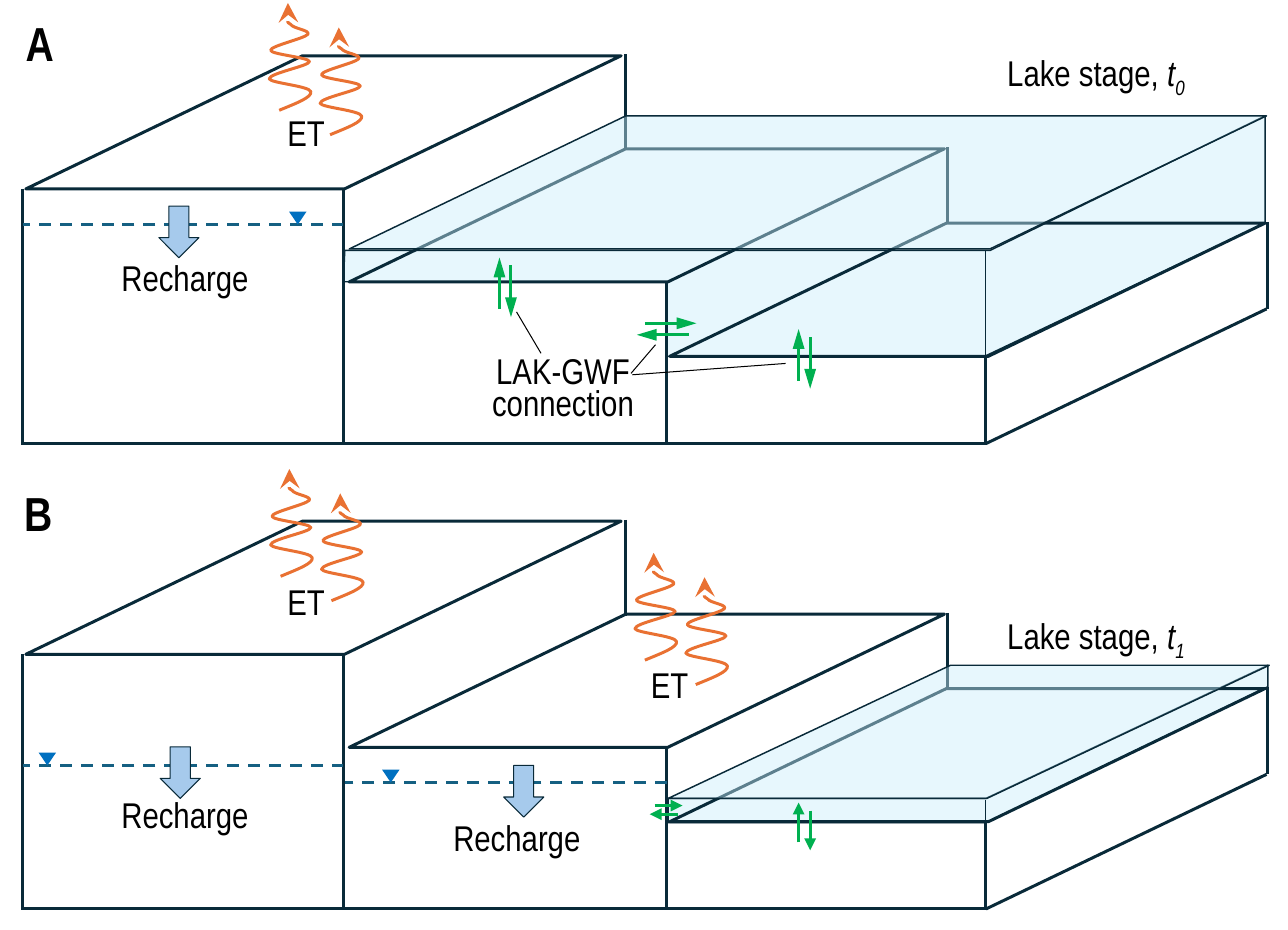
from dataclasses import dataclass
from typing import Optional

from lxml.etree import SubElement
from pptx import Presentation
from pptx.dml.color import RGBColor
from pptx.enum.dml import MSO_LINE
from pptx.enum.shapes import MSO_CONNECTOR, MSO_SHAPE
from pptx.enum.text import MSO_AUTO_SIZE, PP_ALIGN
from pptx.oxml.ns import qn
from pptx.util import Pt

Point = tuple[float, float]


@dataclass(frozen=True)
class Theme:
    font: str = "Arial Narrow"
    label: float = 18
    panel: float = 24
    text: str = "000000"
    edge: str = "092A39"
    water: str = "CAEEFB"
    water_opacity: int = 44
    vapor: str = "E97132"
    table: str = "156082"
    marker: str = "0070C0"
    recharge: str = "A6CAEC"
    exchange: str = "00B050"
    thin: float = 0.5
    medium: float = 0.75
    thick: float = 1.5


@dataclass(frozen=True)
class Label:
    x: float
    y: float
    width: float
    height: float
    text: str
    subscript: str = ""
    spacing: Optional[float] = None
    size: float = Theme.label
    bold: bool = False
    centered: bool = False


@dataclass(frozen=True)
class Exchange:
    """Two opposed arrows; x, y is the top left corner of the pair."""
    x: float
    y: float
    vertical: bool = True
    length: float = 26
    lag: float = 4
    gap: float = 5.8
    head: str = "lg"


@dataclass(frozen=True)
class WaterTable:
    left: float
    right: float
    y: float
    marker_x: float


THEME = Theme()
PANEL_STEP = 234.2
TOP_WIDTH, TOP_HEIGHT, TOP_SLANT = 299.5, 67, 2.077

# Three stepped cells, relative to the panel
CELL_TOPS = [(13, 28.1), (175.7, 74.9), (337, 112.3)]
CELL_EDGES = [
    ((11.5, 95), (11.5, 223.9)), ((172.8, 95), (172.8, 223.9)),
    ((335.5, 141.8), (335.5, 223.2)), ((495.7, 180), (495.7, 223.9)),
    ((314.6, 27.4), (314.6, 75.6)), ((476.6, 74.2), (476.6, 112.3)),
    ((637.9, 111.6), (637.9, 155.5)),
    ((495.7, 223.2), (11.5, 223.2)), ((496.1, 223.2), (637.2, 155.5)),
]

# Lake fronts and surfaces
LAKE_FRONTS = [
    [(336.2, 401.8), (336.2, 414), (496.1, 414), (637.9, 345.6), (637.9, 334.8), (496.1, 401.8)],
    [(173.5, 126), (172.8, 141.8), (335.5, 141.8), (335.5, 179.3), (495.4, 179.3),
     (636.5, 112.3), (636.5, 58.3), (498.2, 126)],
]
LAKE_SURFACES = [(175.7, 58.3, 461.5, 2.077), (336.2, 334.8, 302.4, 2.12)]
LAKE_CORNERS = [((495.9, 126), (495.9, 180)), ((495.7, 402.5), (495.7, 414.5))]

# Start point, then three points for each Bezier piece
VAPOR_CURVE = [
    (5, 54), (13.7, 50.4), (21.6, 47.5), (20.9, 44.6), (20.2, 41.8), (0.7, 40.3), (0, 38.2),
    (0, 35.3), (20.2, 31.7), (20.2, 29.5), (20.2, 27.4), (0.7, 25.9), (0.7, 23.8),
    (0.7, 21.6), (17.3, 18), (19.4, 15.8), (20.9, 13.7), (12.2, 13), (10.8, 10.8),
    (8.6, 9.4), (9.4, 7.9), (9.4, 5.8), (8.6, 3.6), (8.6, 2.2), (9.4, 0),
]
VAPOR_PAIRS = [(135.5, 1.5), (136.2, 236), (319.5, 278.2)]
VAPOR_STEP = (25.6, 12.3)

WATER_TABLES = [
    WaterTable(11.5, 172.8, 113, 145.4),
    WaterTable(11.5, 172.8, 385.2, 19.4),
    WaterTable(173.5, 335.5, 393.8, 192.2),
]
RECHARGE_ARROWS = [(79.9, 103.7), (80.6, 375.8), (253.4, 385.2)]
EXCHANGES = [
    Exchange(251.3, 129.6),
    Exchange(320.4, 162.7, vertical=False),
    Exchange(401.8, 165.6),
    Exchange(401.8, 403.9, length=20, head="med"),
    Exchange(326.9, 405.4, vertical=False, length=14, lag=2.5, gap=4.3, head="med"),
]
LEADERS = [((259.9, 157), (272.2, 177.8)), ((329.8, 173.5), (317.5, 187.9)),
           ((395.3, 182.9), (318.2, 188.6))]
LABELS = [
    Label(5.8, 3.6, 27.4, 36, "A", size=THEME.panel, bold=True),
    Label(5, 239.8, 27.4, 36, "B", size=THEME.panel, bold=True),
    Label(137.5, 59.8, 42.5, 23, "ET", spacing=14),
    Label(137.5, 288, 42.5, 29, "ET"),
    Label(320.4, 329.8, 42.5, 29, "ET"),
    Label(54, 125.3, 93.6, 29, "Recharge"),
    Label(54, 395.3, 93.6, 29, "Recharge"),
    Label(221, 406.8, 93.6, 29, "Recharge"),
    Label(499.7, 32.4, 126.7, 23, "Lake stage, ", "0", spacing=14),
    Label(499.7, 305.3, 126.7, 29, "Lake stage, ", "1"),
    Label(237.6, 177.8, 91.4, 40.3, "LAK-GWF connection", spacing=16, centered=True),
]


def style(shape, fill: Optional[str], line: Optional[str], width: float = 0) -> None:
    shape.shadow.inherit = False
    if fill:
        shape.fill.solid()
        shape.fill.fore_color.rgb = RGBColor.from_string(fill)
    else:
        shape.fill.background()
    if line:
        shape.line.color.rgb = RGBColor.from_string(line)
        shape.line.width = Pt(width)
    else:
        shape.line.fill.background()


def style_water(shape) -> None:
    style(shape, THEME.water, THEME.edge, THEME.medium)
    color = shape.element.spPr.find(qn("a:solidFill"))[0]
    SubElement(color, qn("a:alpha"), val=str(THEME.water_opacity * 1000))


def add_tip(shape, kind: str, width: str, length: str) -> None:
    SubElement(shape.element.spPr.find(qn("a:ln")), qn("a:tailEnd"), type=kind, w=width, len=length)


def draw_line(shapes, start: Point, end: Point, color: str, width: float):
    line = shapes.add_connector(MSO_CONNECTOR.STRAIGHT, *(Pt(v) for v in (*start, *end)))
    line.line.color.rgb = RGBColor.from_string(color)
    line.line.width = Pt(width)
    SubElement(line.element.spPr, qn("a:effectLst"))
    return line


def draw_preset(shapes, kind, x: float, y: float, width: float, height: float):
    return shapes.add_shape(kind, Pt(x), Pt(y), Pt(width), Pt(height))


def draw_outline(shapes, points: list[Point], close: bool):
    start, *others = [(Pt(x), Pt(y)) for x, y in points]
    builder = shapes.build_freeform(*start)
    builder.add_line_segments(others, close=close)
    return builder.convert_to_shape()


def draw_top(shapes, x: float, y: float, width: float, slant: float):
    top = draw_preset(shapes, MSO_SHAPE.PARALLELOGRAM, x, y, width, TOP_HEIGHT)
    top.adjustments[0] = slant
    return top


def draw_cells(shapes, dy: float) -> None:
    for x, y in CELL_TOPS:
        style(draw_top(shapes, x, y + dy, TOP_WIDTH, TOP_SLANT), None, THEME.edge, THEME.thick)
    for (x1, y1), (x2, y2) in CELL_EDGES:
        draw_line(shapes, (x1, y1 + dy), (x2, y2 + dy), THEME.edge, THEME.thick)


def draw_vapor(shapes, x: float, y: float) -> None:
    wave = draw_outline(shapes, [(x + px, y + py) for px, py in VAPOR_CURVE], close=False)
    style(wave, None, THEME.vapor, THEME.thick)
    add_tip(wave, "stealth", "lg", "lg")
    # Turn each three straight segments into one Bezier piece
    outline = next(wave.element.iter(qn("a:path")))
    segments = outline.findall(qn("a:lnTo"))
    for i in range(0, len(segments), 3):
        piece = SubElement(outline, qn("a:cubicBezTo"))
        for segment in segments[i:i + 3]:
            piece.append(segment[0])
            outline.remove(segment)


def draw_water_table(shapes, table: WaterTable) -> None:
    level = draw_line(shapes, (table.right, table.y), (table.left, table.y), THEME.table, THEME.thick)
    level.line.dash_style = MSO_LINE.DASH
    marker = draw_preset(shapes, MSO_SHAPE.ISOSCELES_TRIANGLE, table.marker_x, table.y - 6.5, 8.8, 6.5)
    marker.rotation = 180
    style(marker, THEME.marker, None)


def draw_exchange(shapes, pair: Exchange) -> None:
    spans = [(pair.length, 0, 0), (pair.lag, pair.length + pair.lag, pair.gap)]
    if not pair.vertical:
        spans = [(a, b, pair.gap - across) for a, b, across in spans]
    for start, end, across in spans:
        ends = [(across, along) if pair.vertical else (along, across) for along in (start, end)]
        arrow = draw_line(shapes, *((pair.x + x, pair.y + y) for x, y in ends),
                          THEME.exchange, THEME.thick)
        add_tip(arrow, "triangle", "med", pair.head)


def draw_label(shapes, label: Label) -> None:
    box = shapes.add_textbox(Pt(label.x), Pt(label.y), Pt(label.width), Pt(label.height))
    box.text_frame.word_wrap = True
    box.text_frame.auto_size = MSO_AUTO_SIZE.SHAPE_TO_FIT_TEXT
    paragraph = box.text_frame.paragraphs[0]
    paragraph.alignment = PP_ALIGN.CENTER if label.centered else PP_ALIGN.LEFT
    if label.spacing:
        paragraph.line_spacing = Pt(label.spacing)
    parts = [(label.text, False, 0)]
    if label.subscript:
        parts += [("t", True, 0), (label.subscript, True, -25)]
    for text, italic, baseline in parts:
        run = paragraph.add_run()
        run.text = text
        run.font.name, run.font.size = THEME.font, Pt(label.size)
        run.font.bold, run.font.italic = label.bold, italic
        run.font.color.rgb = RGBColor.from_string(THEME.text)
        if baseline:
            run.font._element.set("baseline", str(baseline * 1000))


def main() -> None:
    deck = Presentation()
    deck.slide_width, deck.slide_height = Pt(648), Pt(468)
    shapes = deck.slides.add_slide(deck.slide_layouts[6]).shapes

    # Lake and cells
    for front in LAKE_FRONTS:
        style_water(draw_outline(shapes, front, close=True))
    for panel in range(2):
        draw_cells(shapes, panel * PANEL_STEP)
    for surface in LAKE_SURFACES:
        style_water(draw_top(shapes, *surface))
    for corner in LAKE_CORNERS:
        draw_line(shapes, *corner, THEME.edge, THEME.thin)

    # Fluxes
    for x, y in VAPOR_PAIRS:
        for i in range(2):
            draw_vapor(shapes, x + i * VAPOR_STEP[0], y + i * VAPOR_STEP[1])
    for table in WATER_TABLES:
        draw_water_table(shapes, table)
    for x, y in RECHARGE_ARROWS:
        arrow = draw_preset(shapes, MSO_SHAPE.DOWN_ARROW, x, y, 20.2, 26)
        style(arrow, THEME.recharge, THEME.edge, THEME.thin)
    for pair in EXCHANGES:
        draw_exchange(shapes, pair)

    # Labels
    for leader in LEADERS:
        draw_line(shapes, *leader, THEME.text, THEME.thin)
    for label in LABELS:
        draw_label(shapes, label)

    deck.save("out.pptx")


if __name__ == "__main__":
    main()
